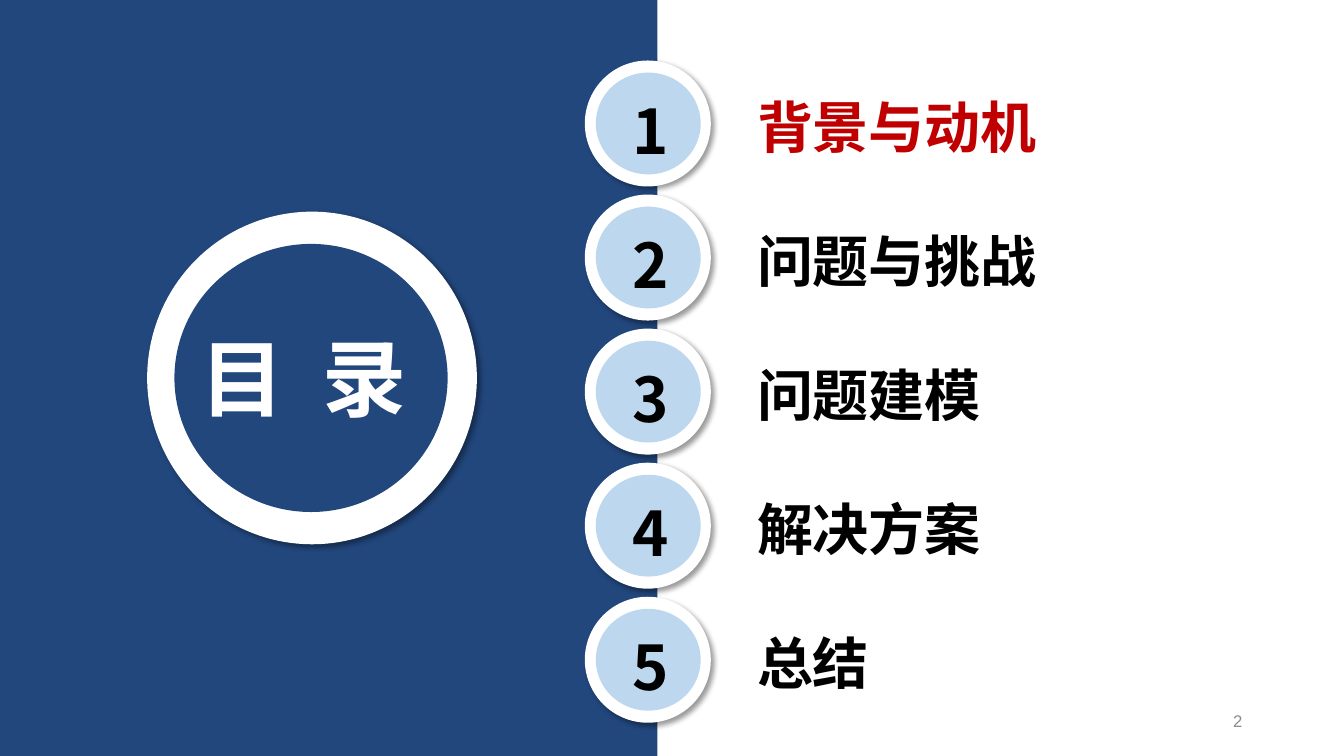
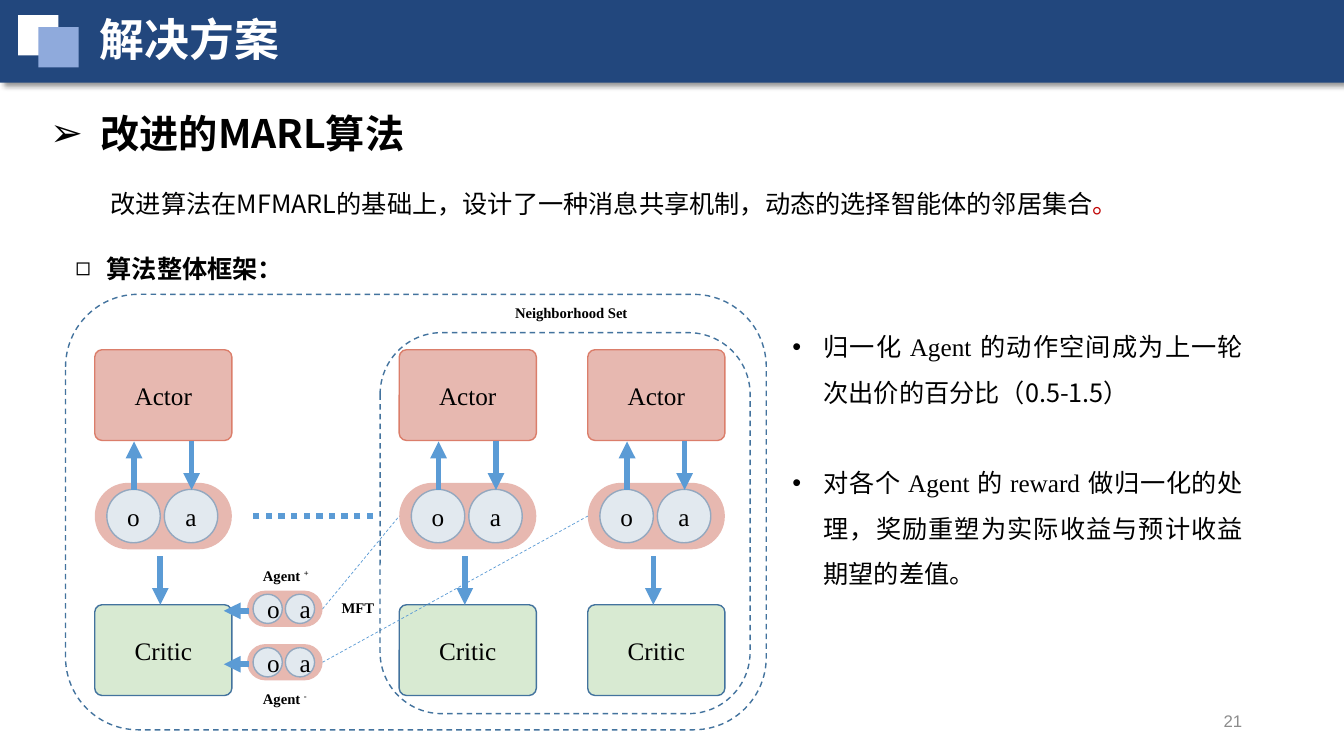
import pptx
import pptx.util
import pptx.oxml.ns
from lxml import etree
from pptx.dml.color import RGBColor
from pptx.enum.dml import MSO_LINE
from pptx.enum.shapes import MSO_CONNECTOR, MSO_SHAPE
from pptx.enum.text import MSO_ANCHOR, PP_ALIGN
from pptx.util import Inches, Pt

NAVY = RGBColor(0x22, 0x47, 0x7D)
WHITE = RGBColor(0xFF, 0xFF, 0xFF)
BLACK = RGBColor(0, 0, 0)
RED = RGBColor(0xC0, 0, 0)
GREY = RGBColor(0x8C, 0x8C, 0x8C)
PALE_BLUE = RGBColor(0xBD, 0xD7, 0xEE)
SOFT_BLUE = RGBColor(0x8F, 0xAA, 0xDC)
ARROW_BLUE = RGBColor(0x5B, 0x9B, 0xD5)
FRAME_BLUE = RGBColor(0x43, 0x73, 0x9E)
ROSE = RGBColor(0xE7, 0xB8, 0xB0)
ROSE_EDGE = RGBColor(0xDB, 0x7E, 0x6B)
GREEN = RGBColor(0xD8, 0xEA, 0xD2)
CIRCLE_FILL = RGBColor(0xE2, 0xE9, 0xEF)
CIRCLE_EDGE = RGBColor(0x94, 0xA8, 0xBF)

SANS = "Noto Sans CJK SC"
SERIF = "Times New Roman"
LEFT, CENTER, RIGHT, JUSTIFY = (
    PP_ALIGN.LEFT, PP_ALIGN.CENTER, PP_ALIGN.RIGHT, PP_ALIGN.JUSTIFY)


def add_element(parent, tag, **attributes):
    return etree.SubElement(parent, pptx.oxml.ns.qn(tag), attributes)


def add_span(para, text, size, font=SANS, color=BLACK, bold=False):
    span = para.add_run()
    span.text = text
    span.font.size = Pt(size)
    span.font.name = font
    span.font.bold = bold
    span.font.color.rgb = color
    east_asian = SANS if font == SERIF else font
    add_element(span.font._element, "a:ea", typeface=east_asian)
    return span


def add_bullet(para, symbol, indent):
    properties = para._p.get_or_add_pPr()
    properties.set("marL", str(Inches(indent)))
    properties.set("indent", str(-Inches(indent)))
    add_element(properties, "a:buFont", typeface="Arial")
    add_element(properties, "a:buChar", char=symbol)


def add_box(page, left, top, width, height, anchor=MSO_ANCHOR.TOP):
    box = page.shapes.add_textbox(
        Inches(left), Inches(top), Inches(width), Inches(height))
    box.text_frame.word_wrap = True
    box.text_frame.vertical_anchor = anchor
    return box


def add_label(page, left, top, width, height, text, size, align=LEFT,
              anchor=MSO_ANCHOR.TOP, spacing=None, bullet=None, **style):
    box = add_box(page, left, top, width, height, anchor)
    para = box.text_frame.paragraphs[0]
    if bullet:
        add_bullet(para, *bullet)
    para.alignment = align
    para.line_spacing = spacing
    add_span(para, text, size, **style)
    return para


def add_block(page, kind, left, top, width, height, fill=None, edge=None,
              corner=None, dashed=False, shadow=False, text=None):
    shape = page.shapes.add_shape(
        kind, Inches(left), Inches(top), Inches(width), Inches(height))
    shape.shadow.inherit = False
    if fill is None:
        shape.fill.background()
    else:
        shape.fill.solid()
        shape.fill.fore_color.rgb = fill
    if edge is None:
        shape.line.fill.background()
    else:
        shape.line.color.rgb = edge
        shape.line.width = Pt(1)
    if dashed:
        shape.line.dash_style = MSO_LINE.DASH
    if corner is not None:
        shape.adjustments[0] = corner
    if shadow:
        add_shadow(shape)
    if text:
        para = shape.text_frame.paragraphs[0]
        para.alignment = CENTER
        add_span(para, text, 18, SERIF)
    return shape


def add_shadow(shape):
    effects = shape._element.spPr.find(pptx.oxml.ns.qn("a:effectLst"))
    outer = add_element(
        effects, "a:outerShdw", blurRad=str(Pt(4)), dist=str(Pt(3)),
        dir="2700000", algn="tl", rotWithShape="0")
    color = add_element(outer, "a:srgbClr", val="000000")
    add_element(color, "a:alpha", val="40000")


def add_line(page, start, end, width=4, dash=None, arrow=False):
    line = page.shapes.add_connector(
        MSO_CONNECTOR.STRAIGHT, *[Inches(value) for value in start + end])
    line.line.color.rgb = ARROW_BLUE
    line.line.width = Pt(width)
    if dash:
        line.line.dash_style = dash
    if arrow:
        add_element(line.line._get_or_add_ln(), "a:tailEnd", type="triangle")
    add_element(line._element.spPr, "a:effectLst")


def add_page(deck, number):
    page = deck.slides.add_slide(deck.slide_layouts[6])
    add_label(page, 9.42, 6.95, 3, 0.4, number, 12, RIGHT, MSO_ANCHOR.MIDDLE,
              font="Arial", color=GREY)
    return page


def add_title_band(page, title):
    add_block(page, MSO_SHAPE.RECTANGLE, 0, 0, 13.33, 0.82, NAVY, shadow=True)
    for left, top, fill in ((0.18, 0.15, WHITE), (0.38, 0.27, SOFT_BLUE)):
        add_block(page, MSO_SHAPE.RECTANGLE, left, top, 0.4, 0.4, fill)
    add_label(page, 0.89, 0.07, 7.79, 0.64, title, 32, color=WHITE, bold=True)


def add_contents_entry(page, number, text, color):
    top = 0.6 + 1.33 * (number - 1)
    add_block(page, MSO_SHAPE.OVAL, 5.8, top, 1.25, 1.25, WHITE, shadow=True)
    add_block(page, MSO_SHAPE.OVAL, 5.91, top + 0.12, 1.04, 1.01, PALE_BLUE)
    add_label(page, 6.17, top + 0.27, 0.75, 1.09, str(number), 44, bold=True)
    add_label(page, 7.41, top + 0.27, 3.88, 1, text, 40, color=color, bold=True)


def add_pill(page, left, top, width, height, circle, offsets):
    add_block(page, MSO_SHAPE.ROUNDED_RECTANGLE, left, top, width, height,
              ROSE, corner=0.5)
    for offset, letter in zip(offsets, "oa"):
        add_block(page, MSO_SHAPE.OVAL, left + offset,
                  top + (height - circle) / 2, circle, circle,
                  CIRCLE_FILL, CIRCLE_EDGE, text=letter)


def add_agent(page, left):
    for top, fill, edge, text in ((3.47, ROSE, ROSE_EDGE, "Actor"),
                                  (6, GREEN, FRAME_BLUE, "Critic")):
        add_block(page, MSO_SHAPE.ROUNDED_RECTANGLE, left, top, 1.36, 0.9,
                  fill, edge, corner=0.08, text=text)
    add_pill(page, left, 4.79, 1.36, 0.66, 0.53, (0.12, 0.69))
    for offset, start, end in ((0.39, 4.86, 4.38), (0.96, 4.38, 4.86),
                               (0.65, 5.52, 6)):
        add_line(page, (left + offset, start), (left + offset, end), arrow=True)


def add_neighbor(page, top, label_top, sign, target):
    add_pill(page, 2.45, top, 0.75, 0.36, 0.29, (0.06, 0.38))
    middle = top + 0.18
    para = add_label(page, 2.51, label_top, 0.75, 0.27, "Agent ", 10.5,
                     font=SERIF, bold=True)
    span = add_span(para, sign, 10.5, SERIF, bold=True)
    span.font._element.set("baseline", "30000")
    add_line(page, (3.2, middle), target, 0.5, MSO_LINE.DASH)
    add_line(page, (2.47, middle + 0.02), (2.22, middle + 0.02), arrow=True)


def add_framework(page):
    for left in (0.94, 3.96, 5.83):
        add_agent(page, left)
    add_neighbor(page, 5.86, 5.57, "+", (3.96, 5.12))
    add_neighbor(page, 6.39, 6.79, "-", (5.83, 5.12))
    add_line(page, (3.7, 5.12), (2.45, 5.12), 4.5, MSO_LINE.ROUND_DOT)
    for left, top, width, text in ((3.29, 5.89, 0.54, "MFT"),
                                   (5.01, 2.97, 1.36, "Neighborhood Set")):
        add_label(page, left, top, width, 0.27, text, 10.5,
                  font=SERIF, bold=True)
    for area in ((3.77, 3.3, 3.67, 3.78), (0.65, 2.92, 6.95, 4.32)):
        add_block(page, MSO_SHAPE.ROUNDED_RECTANGLE, *area,
                  edge=FRAME_BLUE, dashed=True)


def add_remarks(page, remarks):
    frame = add_box(page, 7.76, 3.09, 4.67, 2.77).text_frame
    for index, spans in enumerate(remarks):
        para = frame.add_paragraph() if index else frame.paragraphs[0]
        add_bullet(para, "•", 0.31)
        para.alignment = JUSTIFY
        para.line_spacing = 1.5
        if index:
            para.space_before = Pt(32.5)
        for text, font in spans:
            add_span(para, text, 18, font)


def build_contents(deck):
    page = add_page(deck, "2")
    add_block(page, MSO_SHAPE.RECTANGLE, 0, 0, 6.52, 7.5, NAVY)
    add_block(page, MSO_SHAPE.OVAL, 1.46, 2.1, 3.27, 3.3, WHITE, shadow=True)
    add_block(page, MSO_SHAPE.OVAL, 1.73, 2.42, 2.71, 2.66, NAVY)
    heading = add_label(page, 1.89, 3.19, 2.6, 1.11, "目 录", 60,
                        color=WHITE, bold=True)
    heading.runs[0].font._element.set("spc", "670")
    entries = ("背景与动机", "问题与挑战", "问题建模", "解决方案", "总结")
    for number, text in enumerate(entries, 1):
        add_contents_entry(page, number, text, RED if number == 1 else BLACK)


def build_solution(deck):
    page = add_page(deck, "21")
    add_title_band(page, "解决方案")
    add_label(page, 0.4, 0.8, 12.14, 0.72, "改进的MARL算法", 28,
              spacing=1.5, bullet=("➢", 0.5), bold=True)
    summary = add_label(
        page, 1, 1.67, 10.47, 0.5,
        "改进算法在MFMARL的基础上，设计了一种消息共享机制，动态的选择智能体的邻居集合",
        18, JUSTIFY, spacing=1.5)
    add_span(summary, "。", 18, color=RED)
    add_label(page, 0.65, 2.31, 2.28, 0.5, "算法整体框架：", 18,
              spacing=1.5, bullet=("◻", 0.31), bold=True)
    add_framework(page)
    add_remarks(page, (
        (("归一化 ", SANS), ("Agent ", SERIF),
         ("的动作空间成为上一轮次出价的百分比（0.5-1.5）", SANS)),
        (("对各个 ", SANS), ("Agent 的 reward ", SERIF),
         ("做归一化的处理，奖励重塑为实际收益与预计收益期望的差值。", SANS)),
    ))


def main():
    deck = pptx.Presentation()
    deck.slide_width = Inches(13.33)
    deck.slide_height = Inches(7.5)
    build_contents(deck)
    build_solution(deck)
    deck.save("out.pptx")


if __name__ == "__main__":
    main()
